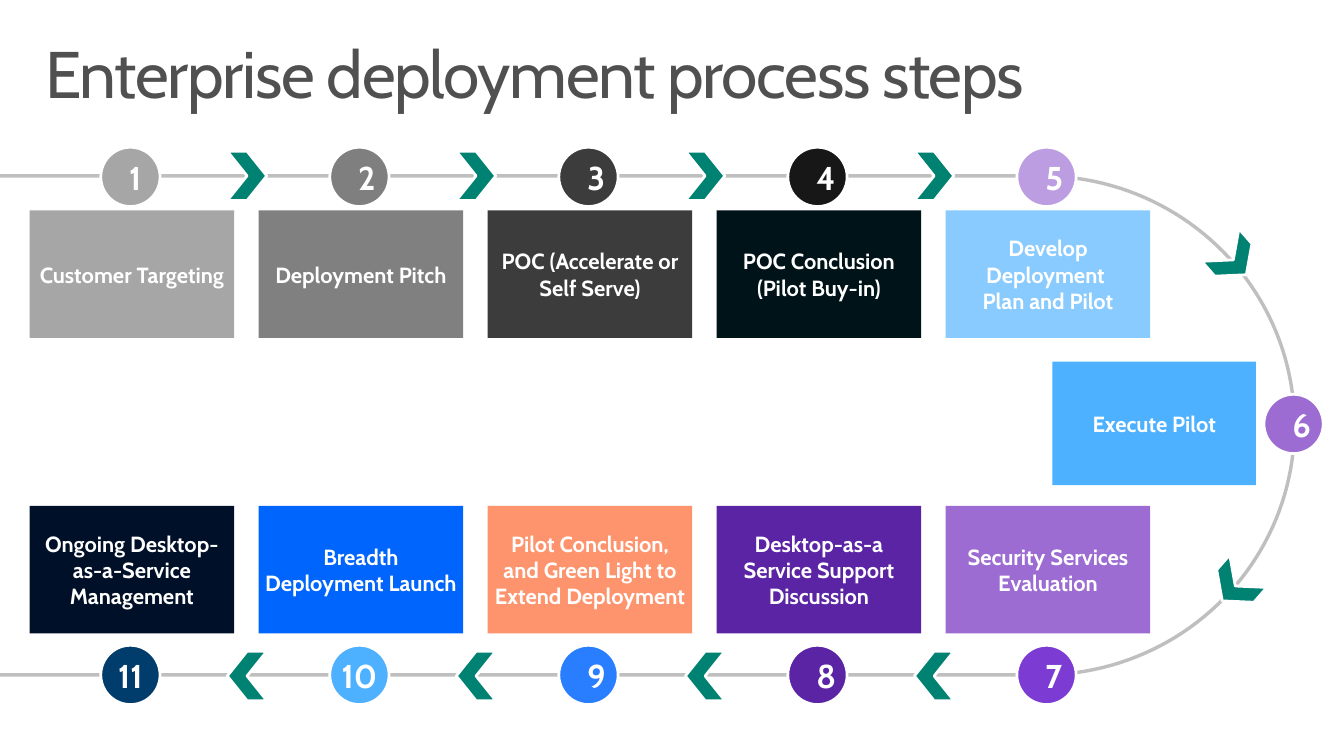
from dataclasses import dataclass
from math import cos, pi, sin

from lxml.etree import SubElement
from pptx import Presentation
from pptx.dml.color import RGBColor
from pptx.enum.shapes import MSO_SHAPE
from pptx.enum.text import MSO_ANCHOR, PP_ALIGN
from pptx.oxml.ns import qn
from pptx.util import Inches, Pt


@dataclass(frozen=True)
class Theme:
    font: str = "Cabin"
    title: str = "505050"
    white: str = "FFFFFF"
    track: str = "BFBFBF"
    arrow: str = "008272"
    title_size: int = 48
    number_size: int = 24
    label_size: int = 16
    track_width: float = 2.5
    outline_width: int = 2


THEME = Theme()

# Grid of five columns, read left to right above and right to left below
COLUMNS = 5
LEFT = 0.3
PITCH = (9.57 - LEFT) / (COLUMNS - 1)
BOX_WIDTH, BOX_HEIGHT = 2.07, 1.29
CIRCLE = 0.6
CIRCLE_OFFSET = 0.72
ARROW_OFFSET = 2.0
TOP_BOX, BOTTOM_BOX = 2.13, 5.12
TOP_CIRCLE, BOTTOM_CIRCLE = 1.49, 6.53
TOP_ARROW, BOTTOM_ARROW = 1.53, 6.59

# Track: straight above and below, joined by a half ellipse
TRACK_TOP, TRACK_BOTTOM = 1.78, 6.83
BEND_X, BEND_WIDTH = 10.54, 2.56
BEND_POINTS = 90

# Label, box colour, circle colour, in step order
STEPS = [
    ("Customer Targeting", "A6A6A6", "A6A6A6"),
    ("Deployment Pitch", "808080", "7F7F7F"),
    ("POC (Accelerate or Self Serve)", "3C3C3C", "3C3C3C"),
    ("POC Conclusion (Pilot Buy-in)", "001318", "171717"),
    ("Develop Deployment \nPlan and Pilot", "89CBFF", "BD9DE1"),
    ("Execute Pilot", "4EB1FF", "9C6CD2"),
    ("Security Services Evaluation", "9C6CD2", "7C3BD3"),
    ("Desktop-as-a Service Support Discussion", "5B24A4", "5B24A4"),
    ("Pilot Conclusion, and Green Light to Extend Deployment", "FE946D", "287EFF"),
    ("Breadth Deployment Launch", "0065FC", "4EB1FF"),
    ("Ongoing Desktop-as-a-Service Management", "001028", "003C6C"),
]


def column_left(column):
    return LEFT + column * PITCH


def write_text(shape, text, size, color, margins, bold=True,
               alignment=PP_ALIGN.CENTER, anchor=MSO_ANCHOR.MIDDLE):
    frame = shape.text_frame
    horizontal, vertical = (Inches(margin) for margin in margins)
    frame_format = {
        "word_wrap": True, "vertical_anchor": anchor,
        "margin_left": horizontal, "margin_right": horizontal,
        "margin_top": vertical, "margin_bottom": vertical,
    }
    for name, value in frame_format.items():
        setattr(frame, name, value)
    paragraph = frame.paragraphs[0]
    paragraph.alignment = alignment
    for index, line in enumerate(text.split("\n")):
        if index:
            paragraph.add_line_break()
        run = paragraph.add_run()
        run.text = line
        font_format = {"name": THEME.font, "size": Pt(size), "bold": bold}
        for name, value in font_format.items():
            setattr(run.font, name, value)
        run.font.color.rgb = RGBColor.from_string(color)
    return paragraph


def add_filled_shape(slide, kind, left, top, width, height, color, outlined=True):
    shape = slide.shapes.add_shape(
        kind, Inches(left), Inches(top), Inches(width), Inches(height))
    shape.shadow.inherit = False
    shape.fill.solid()
    shape.fill.fore_color.rgb = RGBColor.from_string(color)
    if outlined:
        shape.line.color.rgb = RGBColor.from_string(THEME.white)
        shape.line.width = Pt(THEME.outline_width)
    else:
        shape.line.fill.background()
    return shape


def add_title(slide, text):
    box = slide.shapes.add_textbox(Inches(0.3), Inches(0.32), Inches(13), Inches(1))
    paragraph = write_text(box, text, THEME.title_size, THEME.title, (0.16, 0.1),
                           bold=False, alignment=PP_ALIGN.LEFT, anchor=MSO_ANCHOR.TOP)
    paragraph.line_spacing = 0.9
    # Letters set one point closer
    paragraph.runs[0].font._element.set("spc", "-100")


def add_track(slide):
    middle = (TRACK_TOP + TRACK_BOTTOM) / 2
    radius = (TRACK_BOTTOM - TRACK_TOP) / 2
    angles = [pi * step / BEND_POINTS - pi / 2 for step in range(BEND_POINTS + 1)]
    points = [(BEND_X + BEND_WIDTH * cos(angle), middle + radius * sin(angle))
              for angle in angles]
    points.append((0, TRACK_BOTTOM))
    builder = slide.shapes.build_freeform(0, Inches(TRACK_TOP))
    builder.add_line_segments([(Inches(x), Inches(y)) for x, y in points], close=False)
    track = builder.convert_to_shape()
    track.shadow.inherit = False
    track.fill.background()
    track.line.color.rgb = RGBColor.from_string(THEME.track)
    track.line.width = Pt(THEME.track_width)
    SubElement(track.line._get_or_add_ln(), qn("a:round"))


def add_number(slide, number, left, top, color):
    circle = add_filled_shape(slide, MSO_SHAPE.OVAL, left, top, CIRCLE, CIRCLE, color)
    margins = (0.2, 0.16) if number < 10 else (0, 0)
    write_text(circle, str(number), THEME.number_size, THEME.white, margins)


def add_label(slide, text, left, top, width, height, color):
    box = add_filled_shape(slide, MSO_SHAPE.RECTANGLE, left, top, width, height,
                           color, outlined=False)
    write_text(box, text, THEME.label_size, THEME.white, (0.05, 0.05))


def add_arrow(slide, left, top, rotation):
    arrow = add_filled_shape(slide, MSO_SHAPE.CHEVRON, left, top, 0.4, 0.5, THEME.arrow)
    arrow.rotation = rotation


def add_step(slide, number, label, box_color, circle_color):
    if number == COLUMNS + 1:
        # The step on the bend
        add_number(slide, number, 12.79, 3.99, circle_color)
        add_label(slide, label, 10.65, 3.66, 2.06, 1.25, box_color)
        return
    if number <= COLUMNS:
        left, circle_top, box_top = column_left(number - 1), TOP_CIRCLE, TOP_BOX
    else:
        left = column_left(len(STEPS) - number)
        circle_top, box_top = BOTTOM_CIRCLE, BOTTOM_BOX
    add_number(slide, number, left + CIRCLE_OFFSET, circle_top, circle_color)
    add_label(slide, label, left, box_top, BOX_WIDTH, BOX_HEIGHT, box_color)


def main():
    presentation = Presentation()
    presentation.slide_width = Inches(13.6)
    presentation.slide_height = Inches(7.65)
    slide = presentation.slides.add_slide(presentation.slide_layouts[6])

    # Title and track
    add_title(slide, "Enterprise deployment process steps")
    add_track(slide)

    # Numbered steps
    for number, step in enumerate(STEPS, start=1):
        add_step(slide, number, *step)

    # Arrows between the columns, then on the bend
    for top, rotation in ((TOP_ARROW, 0), (BOTTOM_ARROW, 180)):
        for column in range(COLUMNS - 1):
            add_arrow(slide, column_left(column) + ARROW_OFFSET, top, rotation)
    add_arrow(slide, 12.28, 2.38, 48.8)
    add_arrow(slide, 12.3, 5.68, 131.2)

    presentation.save("out.pptx")


if __name__ == "__main__":
    main()
